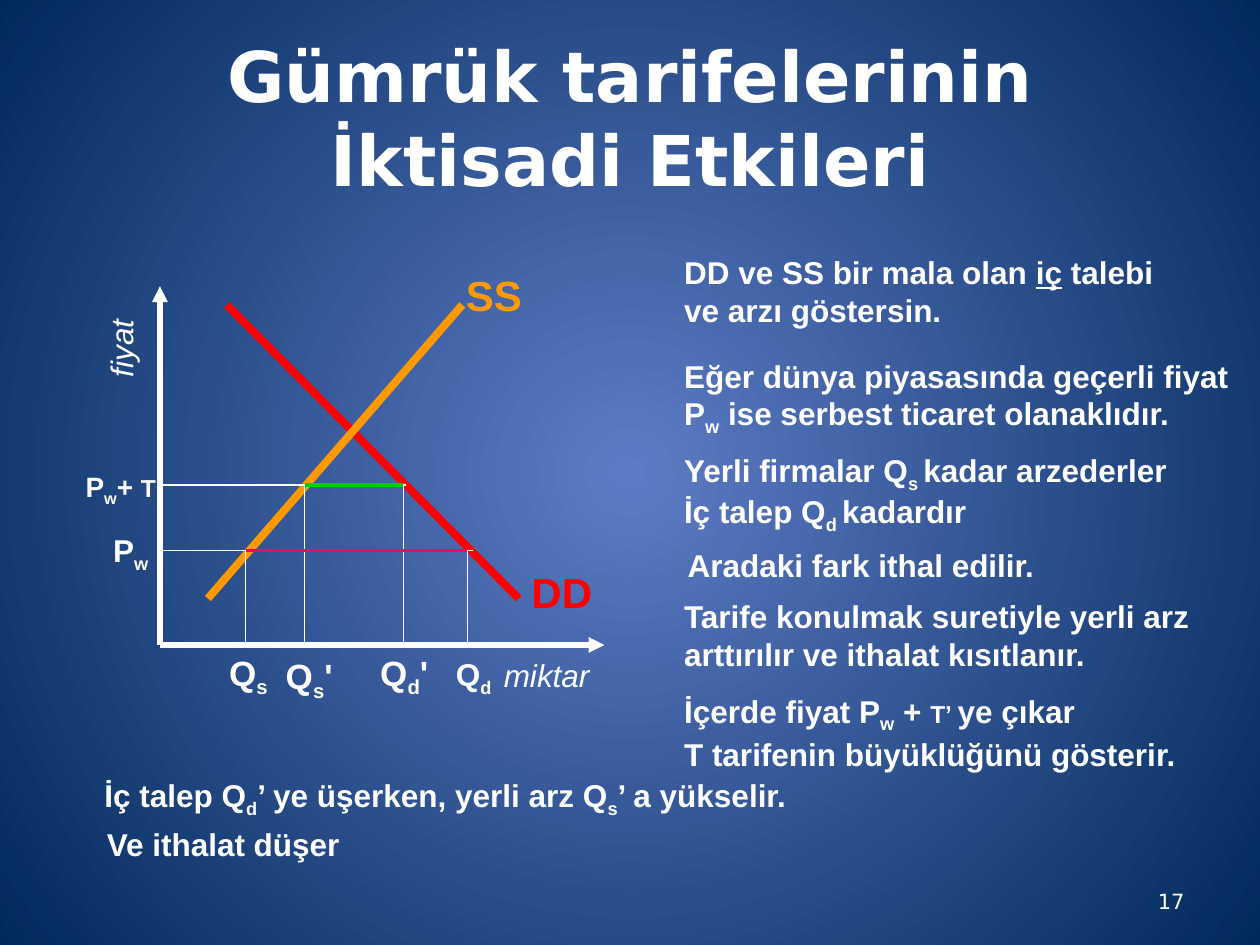
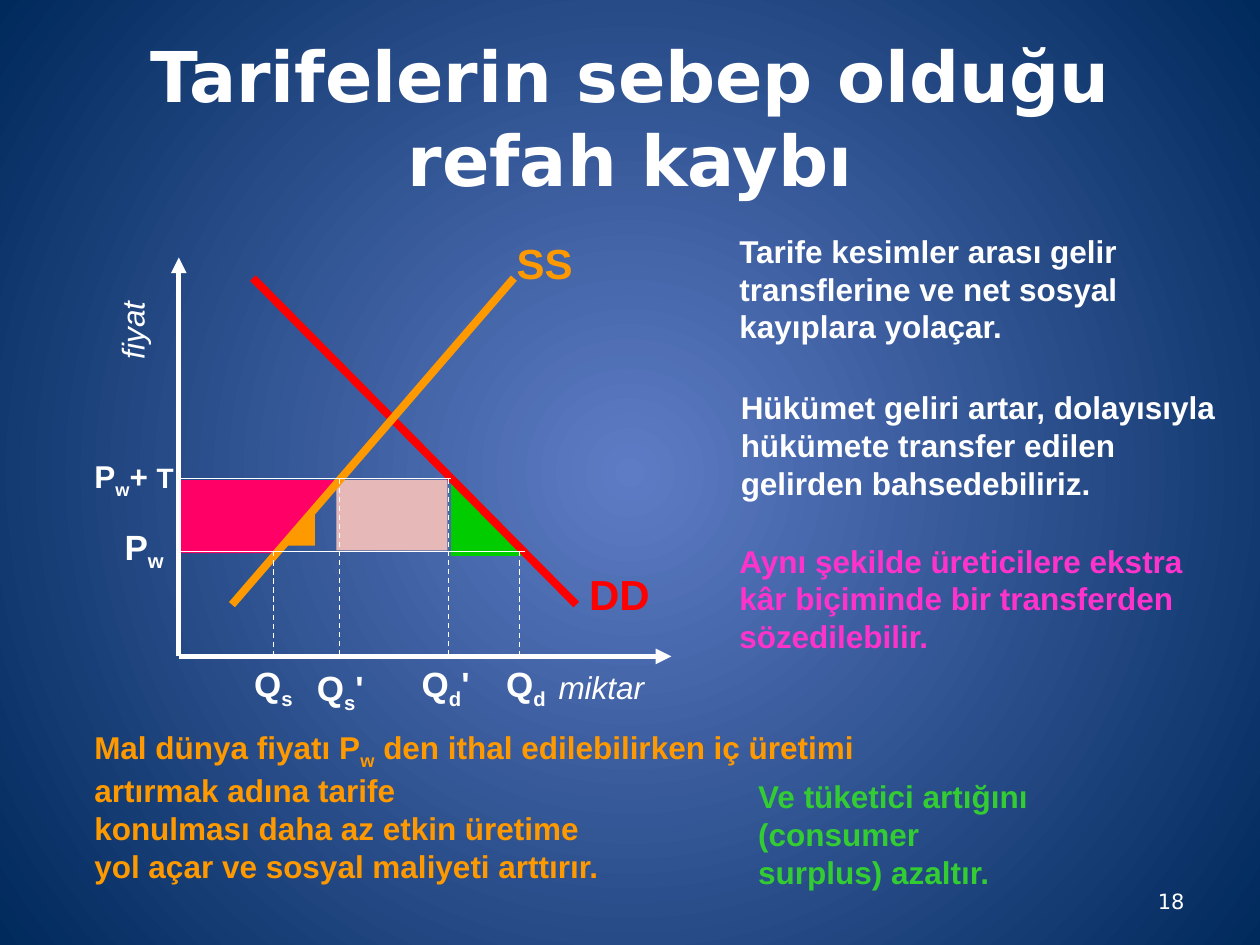
from dataclasses import dataclass

import lxml.etree
import pptx
import pptx.dml.color
import pptx.enum.dml
import pptx.enum.shapes
import pptx.enum.text
import pptx.oxml.ns
import pptx.util

Pt = pptx.util.Pt
RGBColor = pptx.dml.color.RGBColor
qn = pptx.oxml.ns.qn
Align = pptx.enum.text.PP_ALIGN
AutoShape = pptx.enum.shapes.MSO_SHAPE
Point = tuple[float, float]

WHITE = RGBColor(0xFF, 0xFF, 0xFF)
GLOW_BLUE = RGBColor(0x5E, 0x7C, 0xC5)
NAVY = RGBColor(0x00, 0x29, 0x5C)
RED = RGBColor(0xFF, 0x00, 0x00)
ORANGE = RGBColor(0xFF, 0x99, 0x00)
GREEN = RGBColor(0x00, 0xCC, 0x00)
TEXT_GREEN = RGBColor(0x33, 0xCC, 0x33)
CRIMSON = RGBColor(0xFF, 0x00, 0x66)
PINK = RGBColor(0xFF, 0x33, 0xCC)
ROSE = RGBColor(0xE6, 0xB9, 0xB8)

TITLE_FONT = "DejaVu Sans"
BODY_FONT = "Arial"

# Diagram measures, in points right of and above the origin at scale 1
QUANTITY_AXIS, PRICE_AXIS = 254, 205
WORLD_PRICE, TARIFF_PRICE = 54, 91.4
SUPPLY_FREE, SUPPLY_TARIFF, DEMAND_TARIFF, DEMAND_FREE = 49, 82.8, 139, 175.7
DEMAND_CURVE = ((38.2, 194.4), (205, 26.6))
SUPPLY_CURVE = ((27.4, 26.6), (172.8, 194.4))
GUIDE_WIDTH = 0.75


@dataclass(frozen=True)
class Run:
    text: str
    size: float | None = None
    subscript: bool = False
    underline: bool = False


Paragraph = tuple[str | Run, ...]
SUB_W, SUB_S, SUB_D = (Run(letter, subscript=True) for letter in "wsd")


@dataclass(frozen=True)
class TextBox:
    left: float
    top: float
    width: float
    height: float
    paragraphs: tuple[Paragraph, ...]
    color: RGBColor = WHITE
    size: float = 18
    bold: bool = True
    italic: bool = False
    font: str = BODY_FONT
    align: Align = Align.LEFT
    wrap: bool = False
    middle: bool = False
    rotation: float = 0


@dataclass(frozen=True)
class Area:
    kind: AutoShape
    left: float
    top: float
    width: float
    height: float
    color: RGBColor
    mirrored: bool = False


@dataclass(frozen=True)
class Diagram:
    origin: Point
    scale: Point = (1, 1)
    dashed: bool = False

    def place(self, point: Point) -> Point:
        """Turn measures from the origin into a position on the slide."""
        return (self.origin[0] + point[0] * self.scale[0],
                self.origin[1] - point[1] * self.scale[1])


def paragraphs(*lines: str) -> tuple[Paragraph, ...]:
    return tuple((line,) for line in lines)


def add_text(slide, box: TextBox) -> None:
    shape = slide.shapes.add_textbox(Pt(box.left), Pt(box.top), Pt(box.width), Pt(box.height))
    shape.rotation = box.rotation
    frame = shape.text_frame
    frame.word_wrap = box.wrap
    if box.middle:
        frame.vertical_anchor = pptx.enum.text.MSO_ANCHOR.MIDDLE
    else:
        frame.auto_size = pptx.enum.text.MSO_AUTO_SIZE.SHAPE_TO_FIT_TEXT
    for index, parts in enumerate(box.paragraphs):
        paragraph = frame.add_paragraph() if index else frame.paragraphs[0]
        paragraph.alignment = box.align
        for part in parts:
            piece = Run(part) if isinstance(part, str) else part
            run = paragraph.add_run()
            run.text = piece.text
            font = run.font
            font.name = box.font
            font.size = Pt(piece.size or box.size)
            font.bold, font.italic = box.bold, box.italic
            font.color.rgb = box.color
            if piece.underline:
                font.underline = True
            if piece.subscript:
                run._r.get_or_add_rPr().set("baseline", "-25000")


def add_line(slide, diagram: Diagram, start: Point, end: Point, width: float,
             color: RGBColor = WHITE, arrow: bool = False, dashed: bool = False) -> None:
    ends = [Pt(value) for point in (start, end) for value in diagram.place(point)]
    line = slide.shapes.add_connector(pptx.enum.shapes.MSO_CONNECTOR.STRAIGHT, *ends)
    line.line.color.rgb = color
    line.line.width = Pt(width)
    if dashed:
        line.line.dash_style = pptx.enum.dml.MSO_LINE.DASH
    properties = line._element.spPr
    if arrow:
        outline = properties.find(qn("a:ln"))
        lxml.etree.SubElement(outline, qn("a:tailEnd"), type="triangle")
    lxml.etree.SubElement(properties, qn("a:effectLst"))


def fill_plain(shape, color: RGBColor) -> None:
    shape.shadow.inherit = False
    shape.fill.solid()
    shape.fill.fore_color.rgb = color
    shape.line.fill.background()


def add_area(slide, area: Area) -> None:
    shape = slide.shapes.add_shape(area.kind, Pt(area.left), Pt(area.top),
                                   Pt(area.width), Pt(area.height))
    fill_plain(shape, area.color)
    if area.mirrored:
        shape._element.spPr.find(qn("a:xfrm")).set("flipH", "1")


def add_polygon(slide, points: list[Point], color: RGBColor) -> None:
    corners = [(Pt(x), Pt(y)) for x, y in points]
    builder = slide.shapes.build_freeform(*corners[0], scale=1.0)
    builder.add_line_segments(corners[1:], close=True)
    fill_plain(builder.convert_to_shape(), color)


def add_diagram(slide, diagram: Diagram) -> None:
    """Draw axes, curves, guide lines and the labels that scale with them."""
    for axis_end in ((QUANTITY_AXIS, 0), (0, PRICE_AXIS)):
        add_line(slide, diagram, (0, 0), axis_end, 3, arrow=True)
    add_line(slide, diagram, *DEMAND_CURVE, 4.5, RED)
    add_line(slide, diagram, *SUPPLY_CURVE, 4.5, ORANGE)

    for price, end in ((WORLD_PRICE, 178.6), (TARIFF_PRICE, 140.4)):
        add_line(slide, diagram, (0, price), (end, price), GUIDE_WIDTH)
    for quantity, price in ((SUPPLY_FREE, WORLD_PRICE), (DEMAND_FREE, WORLD_PRICE),
                            (SUPPLY_TARIFF, TARIFF_PRICE), (DEMAND_TARIFF, TARIFF_PRICE)):
        add_line(slide, diagram, (quantity, price), (quantity, 0), GUIDE_WIDTH,
                 dashed=diagram.dashed)

    quantity_style = dict(height=31, size=20)
    curve_style = dict(height=36, size=24)
    labels = (
        ((205.2, 48.2), 49, ("DD",), dict(curve_style, color=RED)),
        ((167.8, 218.2), 47, ("SS",), dict(curve_style, color=ORANGE)),
        ((189.4, -2.9), 63.4, ("miktar",), dict(height=29, bold=False, italic=True)),
        ((32.4, 0), 37.4, ("Q", SUB_S), quantity_style),
        ((64.8, -2), 41.8, ("Q", SUB_S, "'"), quantity_style),
        ((118.8, 0), 42.5, ("Q", SUB_D, "'"), quantity_style),
    )
    for corner, width, text, style in labels:
        left, top = diagram.place(corner)
        add_text(slide, TextBox(left, top, width, paragraphs=(text,), **style))


def price_axis_label(left: float, top: float) -> TextBox:
    return TextBox(left, top, 47.5, 29, paragraphs("fiyat"), bold=False, italic=True,
                   rotation=270)


def tariff_price(size: float) -> tuple[Paragraph, ...]:
    return (("P", SUB_W, "+ ", Run("T", size=size)),)


def set_background(master) -> None:
    fill = master.background.fill
    fill.gradient()
    for stop, color in zip(fill.gradient_stops, (GLOW_BLUE, NAVY)):
        stop.color.rgb = color
    gradient = master.element.find(".//" + qn("a:gradFill"))
    path = lxml.etree.Element(qn("a:path"), {"path": "circle"})
    lxml.etree.SubElement(path, qn("a:fillToRect"), dict.fromkeys("ltrb", "50000"))
    gradient.replace(gradient.find(qn("a:lin")), path)


def add_slide(presentation, title: str, number: int):
    slide = presentation.slides.add_slide(presentation.slide_layouts[6])
    add_text(slide, TextBox(36, 21.6, 648, 90, paragraphs(title), size=40, font=TITLE_FONT,
                            align=Align.CENTER, wrap=True, middle=True))
    add_text(slide, TextBox(516.2, 500.4, 167.8, 28.8, paragraphs(str(number)), size=12,
                            bold=False, font=TITLE_FONT, align=Align.RIGHT, wrap=True,
                            middle=True))
    return slide


def add_effects_slide(presentation) -> None:
    slide = add_slide(presentation, "Gümrük tarifelerinin İktisadi Etkileri", 17)
    column = 383.8
    explanations = (
        TextBox(column, 141.1, 293.8, 50.4,
                (("DD ve SS bir mala olan ", Run("iç", underline=True),
                  " talebi ve arzı göstersin."),), wrap=True),
        TextBox(column, 200.2, 330.5, 50.4,
                (("Eğer dünya piyasasında geçerli fiyat",),
                 ("P", SUB_W, " ise serbest ticaret olanaklıdır."))),
        TextBox(column, 254.2, 292.3, 28.8,
                (("Yerli firmalar Q", Run("s ", subscript=True), "kadar arzederler"),)),
        TextBox(column, 277.9, 177.1, 28.8,
                (("İç talep Q", Run("d ", subscript=True), "kadardır"),)),
        TextBox(385.9, 308.2, 213.8, 28.8, paragraphs("Aradaki fark ithal edilir.")),
        TextBox(column, 337.7, 309.6, 50.4,
                paragraphs("Tarife konulmak suretiyle yerli arz",
                           "arttırılır ve ithalat kısıtlanır.")),
        TextBox(column, 391.7, 296.6, 50.4,
                (("İçerde fiyat P", SUB_W, " + ", Run("T’ ", size=14), "ye çıkar"),
                 ("T tarifenin büyüklüğünü gösterir.",))),
        TextBox(52.6, 439.9, 408.2, 28.8,
                (("İç talep Q", SUB_D, "’ ye üşerken, yerli arz Q", SUB_S, "’ a yükselir."),)),
        TextBox(54, 468, 148.3, 28.8, paragraphs("Ve ithalat düşer")),
    )
    for box in explanations:
        add_text(slide, box)

    diagram = Diagram(origin=(91.4, 368.6))
    add_diagram(slide, diagram)
    for label in (
        price_axis_label(45.4, 184.3),
        TextBox(57.6, 300.2, 36, 28.8, (("P", SUB_W),)),
        TextBox(41.8, 265, 56.2, 26.6, tariff_price(14), size=16),
        TextBox(253.4, 370.8, 36, 28.8, (("Q", SUB_D),)),
    ):
        add_text(slide, label)
    for start, end, price, color in (
        (SUPPLY_FREE, DEMAND_FREE, WORLD_PRICE, CRIMSON),
        (SUPPLY_TARIFF, DEMAND_TARIFF, TARIFF_PRICE, GREEN),
    ):
        add_line(slide, diagram, (start, price), (end, price), 2.25, color)


def add_welfare_slide(presentation) -> None:
    slide = add_slide(presentation, "Tarifelerin sebep olduğu refah kaybı", 18)
    government_revenue = Area(AutoShape.RECTANGLE, 192.2, 274.3, 63.4, 40.3, ROSE)
    production_loss = Area(AutoShape.RIGHT_TRIANGLE, 138.2, 275.8, 41.8, 36, ORANGE,
                           mirrored=True)
    consumption_loss = Area(AutoShape.RIGHT_TRIANGLE, 257.8, 275.8, 41.8, 41.8, GREEN)
    for area in (government_revenue, production_loss, consumption_loss):
        add_area(slide, area)
    producer_gain = [(102.2, 274.3), (192.2, 274.3), (156.2, 316.1), (102.2, 316.1)]
    add_polygon(slide, producer_gain, CRIMSON)

    add_diagram(slide, Diagram(origin=(102.2, 375.1), scale=(1.108, 1.112), dashed=True))
    for box in (
        price_axis_label(51.8, 174.2),
        TextBox(64.1, 296.6, 38.2, 31, (("P", SUB_W),), size=20),
        TextBox(46.8, 257.8, 61.2, 28.8, tariff_price(16)),
        TextBox(282.2, 375.1, 38.2, 31, (("Q", SUB_D),), size=20),
        TextBox(415.4, 128.9, 236.2, 72,
                paragraphs("Tarife kesimler arası gelir", "transflerine ve net sosyal",
                           "kayıplara yolaçar.")),
        TextBox(416.2, 218.2, 291.6, 72,
                paragraphs("Hükümet geliri artar, dolayısıyla", "hükümete transfer edilen",
                           "gelirden bahsedebiliriz.")),
        TextBox(415.4, 306, 273.6, 72,
                paragraphs("Aynı şekilde üreticilere ekstra", "kâr biçiminde bir transferden",
                           "sözedilebilir."), PINK),
        TextBox(46.8, 412.6, 619.9, 94.3,
                (("Mal dünya fiyatı P", SUB_W, " den ithal edilebilirken iç üretimi"),
                 *paragraphs("artırmak adına tarife", "konulması daha az etkin üretime",
                             "yol açar ve sosyal maliyeti arttırır.")), ORANGE, wrap=True),
        TextBox(426.2, 440.6, 265, 51,
                paragraphs("Ve tüketici artığını (consumer", "surplus) azaltır."), TEXT_GREEN),
    ):
        add_text(slide, box)


def main() -> None:
    presentation = pptx.Presentation()
    presentation.slide_width, presentation.slide_height = Pt(720), Pt(540)
    set_background(presentation.slide_master)
    add_effects_slide(presentation)
    add_welfare_slide(presentation)
    presentation.save("out.pptx")


if __name__ == "__main__":
    main()
